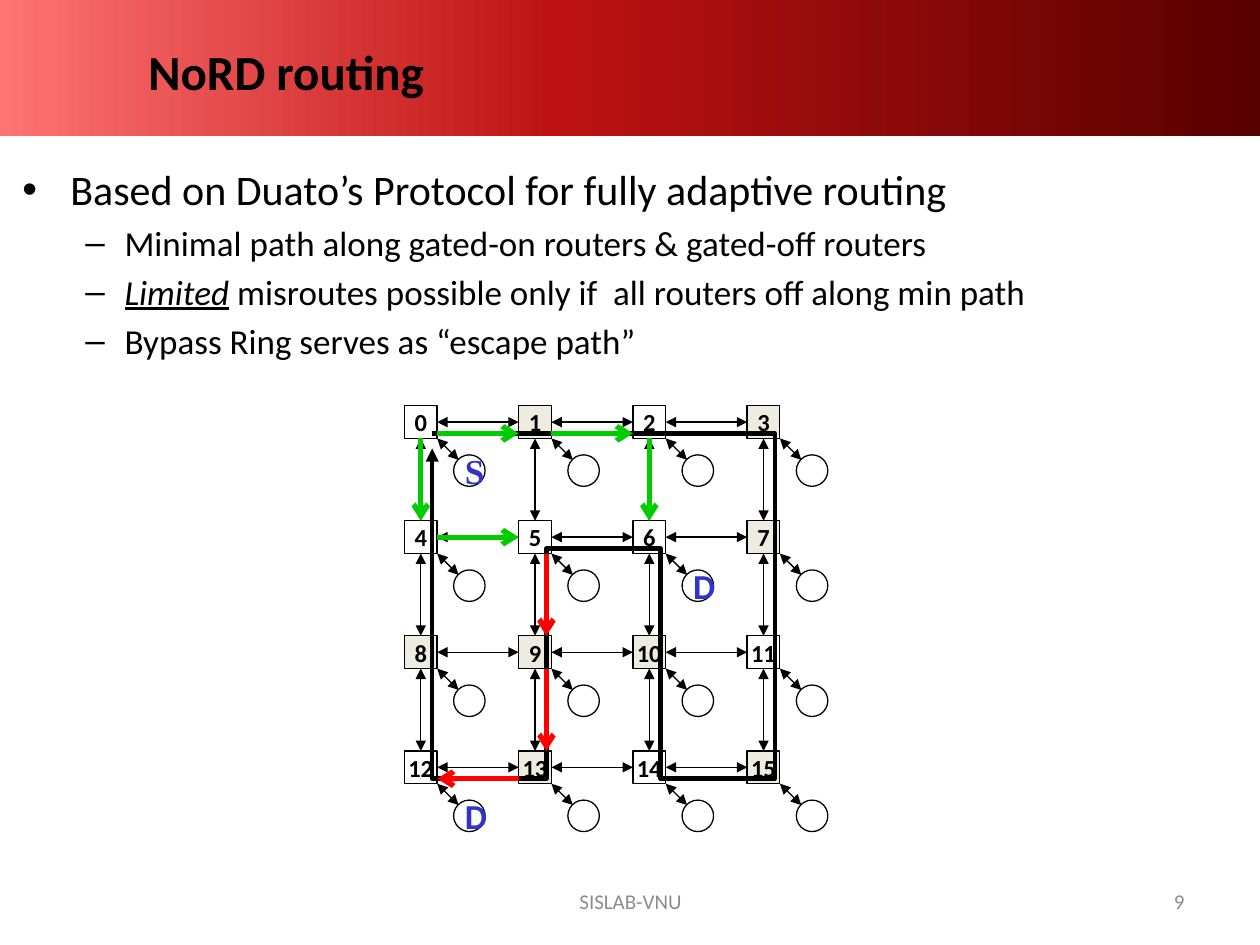
from copy import deepcopy
from itertools import product

from lxml.etree import SubElement
from pptx import Presentation
from pptx.dml.color import RGBColor
from pptx.enum.shapes import MSO_CONNECTOR, MSO_SHAPE
from pptx.enum.text import MSO_ANCHOR, PP_ALIGN
from pptx.oxml.ns import qn
from pptx.util import Inches, Pt

BLACK = RGBColor(0x00, 0x00, 0x00)
WHITE = RGBColor(0xFF, 0xFF, 0xFF)
GATED_OFF = RGBColor(0xEE, 0xEC, 0xE1)
GREEN = RGBColor(0x00, 0xCC, 0x00)
RED = RGBColor(0xFF, 0x00, 0x00)
BLUE = RGBColor(0x33, 0x33, 0xCC)
GRAY = RGBColor(0x8C, 0x8C, 0x8C)
BANNER_STOPS = [(0, RGBColor(0xFF, 0x73, 0x73)),
                (0.44, RGBColor(0xBE, 0x12, 0x12)),
                (1, RGBColor(0x58, 0x00, 0x00))]

SIZE = 4                                  # routers per side
PITCH_X, PITCH_Y = 2.72 / 3, 2.74 / 3
ROUTER, CORE, CORE_OFFSET = 0.26, 0.25, 0.39
CENTRE, RING_LANE = 0.13, 0.22            # lanes inside a router box
OFF_ROUTERS = {1, 3, 7, 8, 9, 10, 13, 15}
RING = [(0, 0), (3, 0), (3, 3), (2, 3), (2, 1), (1, 1), (1, 3), (0, 3)]
ROUTES = [(0, 4, CENTRE, GREEN), (4, 5, CENTRE, GREEN), (5, 9, RING_LANE, RED),
          (9, 13, RING_LANE, RED), (13, 12, RING_LANE, RED),
          (0, 1, RING_LANE, GREEN), (1, 2, RING_LANE, GREEN),
          (2, 6, CENTRE, GREEN)]
END_POINTS = [(0, "S", "Times New Roman"), (12, "D", "Calibri"), (6, "D", "Calibri")]

BULLETS = [(0, [("Based on Duato’s Protocol for fully adaptive routing", False)]),
           (1, [("Minimal path along gated-on routers & gated-off routers", False)]),
           (1, [("Limited", True),
                (" misroutes possible only if  all routers off along min path", False)]),
           (1, [("Bypass Ring serves as “escape path”", False)])]
# per level: size, left margin, hanging indent, bullet
LEVELS = [(24, 0.38, 0.38, "•"), (20, 0.81, 0.31, "–")]


def style_run(r, size, color=BLACK, bold=False, font="Calibri"):
    """Set the font of one run."""
    r.font.name, r.font.size, r.font.bold = font, Pt(size), bold
    r.font.color.rgb = color


def add_text(s, box, text, size, align=PP_ALIGN.LEFT, anchor=MSO_ANCHOR.TOP,
             wrap=True, **font):
    """Add a one-line text box."""
    tf = s.shapes.add_textbox(*map(Inches, box)).text_frame
    tf.word_wrap, tf.vertical_anchor = wrap, anchor
    p = tf.paragraphs[0]
    p.text, p.alignment = text, align
    style_run(p.runs[0], size, **font)


def add_outlined(s, kind, box, fill):
    """Add a filled preset shape with a thin black outline."""
    sp = s.shapes.add_shape(kind, *map(Inches, box))
    sp.shadow.inherit = False
    sp.fill.solid()
    sp.fill.fore_color.rgb = fill
    sp.line.color.rgb, sp.line.width = BLACK, Pt(0.75)
    return sp


def add_arrowheads(sp, head=None, tail=None):
    """Put arrowheads on the start and end of a line."""
    ln = sp.line._get_or_add_ln()
    for tag, kind in (("a:headEnd", head), ("a:tailEnd", tail)):
        if kind:
            SubElement(ln, qn(tag), type=kind)


def add_line(s, start, end, color=BLACK, width=0.75, head="triangle", tail="triangle"):
    """Add a straight connector with arrowheads."""
    c = s.shapes.add_connector(MSO_CONNECTOR.STRAIGHT, *map(Inches, (*start, *end)))
    c.line.color.rgb, c.line.width = color, Pt(width)
    add_arrowheads(c, head, tail)
    SubElement(c._element.spPr, qn("a:effectLst"))


def add_banner(s, left, top, width, height):
    """Draw the gradient banner with the slide title."""
    sp = s.shapes.add_shape(MSO_SHAPE.RECTANGLE, *map(Inches, (left, top, width, height)))
    sp.shadow.inherit = False
    sp.line.fill.background()
    sp.fill.gradient()
    sp.fill.gradient_angle = 0
    stops = sp._element.spPr.find(qn("a:gradFill")).find(qn("a:gsLst"))
    stops.insert(1, deepcopy(stops[0]))
    for stop, (position, color) in zip(sp.fill.gradient_stops, BANNER_STOPS):
        stop.position, stop.color.rgb = position, color
    add_text(s, (left + 1.08, top + 0.17, 8.42, 0.78), "NoRD routing", 28,
             anchor=MSO_ANCHOR.MIDDLE, bold=True)


def add_bullets(s, left, top, width, height):
    """Write the two-level bullet list."""
    tf = s.shapes.add_textbox(*map(Inches, (left, top, width, height))).text_frame
    tf.word_wrap = True
    for i, (level, parts) in enumerate(BULLETS):
        size, margin, hanging, bullet = LEVELS[level]
        p = tf.add_paragraph() if i else tf.paragraphs[0]
        p.level, p.space_before = level, Pt(size * 0.2)
        pPr = p._p.get_or_add_pPr()
        pPr.set("marL", str(Inches(margin)))
        pPr.set("indent", str(-Inches(hanging)))
        SubElement(pPr, qn("a:buFont"), typeface="Arial")
        SubElement(pPr, qn("a:buChar"), char=bullet)
        for text, emphasis in parts:
            r = p.add_run()
            r.text = text
            style_run(r, size)
            r.font.italic = r.font.underline = emphasis


def add_mesh(s, left, top):
    """Draw the router mesh, its bypass ring and the example routes."""
    def corner(node):
        row, col = divmod(node, SIZE)
        return left + col * PITCH_X, top + row * PITCH_Y

    def hop(a, b, lane):
        """Return the end points of the gap between two neighbours."""
        (ax, ay), (bx, by) = corner(a), corner(b)
        if abs(a - b) == 1:
            sides = (ROUTER, 0) if a < b else (0, ROUTER)
            return (ax + sides[0], ay + lane), (bx + sides[1], by + lane)
        return (ax + lane, ay + ROUTER), (bx + lane, by)

    for row, col in product(range(SIZE), repeat=2):
        node = row * SIZE + col
        if col < SIZE - 1:
            add_line(s, *hop(node, node + 1, CENTRE))
        if row < SIZE - 1:
            add_line(s, *hop(node, node + SIZE, CENTRE))
    for node in range(SIZE * SIZE):
        add_router(s, *corner(node), node)
    for node, text, font in END_POINTS:
        x, y = corner(node)
        add_text(s, (x + 0.38, y + 0.3, 0.31, 0.42), text, 20, PP_ALIGN.CENTER,
                 wrap=False, color=BLUE, bold=True, font=font)
    add_ring(s, left + RING_LANE, top + RING_LANE)
    for a, b, lane, color in ROUTES:
        add_line(s, *hop(a, b, lane), color, 3, head=None, tail="arrow")


def add_router(s, x, y, node):
    """Draw one numbered router with its core and the link between them."""
    fill = GATED_OFF if node in OFF_ROUTERS else WHITE
    sp = add_outlined(s, MSO_SHAPE.RECTANGLE, (x, y, ROUTER, ROUTER), fill)
    tf = sp.text_frame
    tf.margin_left = tf.margin_right = tf.margin_top = tf.margin_bottom = 0
    tf.word_wrap, tf.vertical_anchor = False, MSO_ANCHOR.MIDDLE
    p = tf.paragraphs[0]
    p.text, p.alignment = str(node), PP_ALIGN.CENTER
    style_run(p.runs[0], 14, bold=True)
    add_outlined(s, MSO_SHAPE.OVAL, (x + CORE_OFFSET, y + CORE_OFFSET, CORE, CORE), WHITE)
    add_line(s, (x + ROUTER, y + ROUTER), (x + 0.43, y + 0.43))


def add_ring(s, left, top):
    """Draw the bypass ring as one open outline."""
    points = [(Inches(left + col * PITCH_X), Inches(top + row * PITCH_Y))
              for col, row in RING]
    points.append((Inches(left), Inches(top + 0.12)))
    builder = s.shapes.build_freeform(*points[0])
    builder.add_line_segments(points[1:], close=False)
    sp = builder.convert_to_shape()
    sp.shadow.inherit = False
    sp.fill.background()
    sp.line.color.rgb, sp.line.width = BLACK, Pt(2.5)
    add_arrowheads(sp, tail="triangle")


def add_footer(s, top, height):
    """Write the footer text and the slide number."""
    add_text(s, (3.42, top, 3.17, height), "SISLAB-VNU", 12, PP_ALIGN.CENTER,
             MSO_ANCHOR.MIDDLE, color=GRAY)
    add_text(s, (7.17, top, 2.33, height), "9", 12, PP_ALIGN.RIGHT,
             MSO_ANCHOR.MIDDLE, color=GRAY)


prs = Presentation()
prs.slide_width, prs.slide_height = Inches(10), Inches(7.5)
s = prs.slides.add_slide(prs.slide_layouts[6])
add_banner(s, 0, 0, 10, 1.08)
add_bullets(s, 0.08, 1.25, 9.88, 5.42)
add_mesh(s, 3.21, 3.22)
add_footer(s, 6.95, 0.4)
prs.save("out.pptx")
